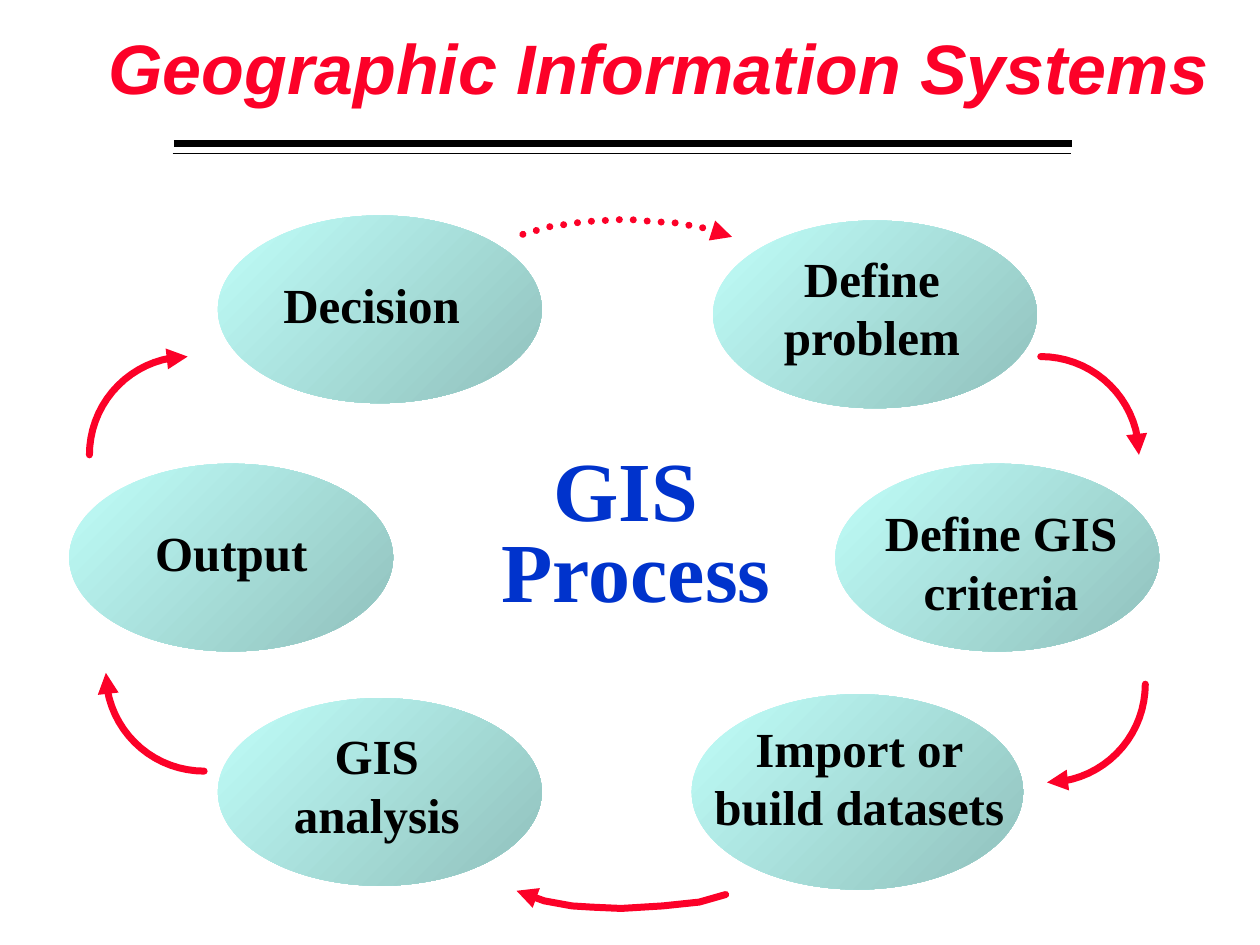
from math import cos, radians, sin

from lxml.etree import SubElement
from pptx import Presentation
from pptx.dml.color import RGBColor
from pptx.enum.dml import MSO_LINE
from pptx.enum.shapes import MSO_CONNECTOR, MSO_SHAPE
from pptx.enum.text import MSO_ANCHOR, PP_ALIGN
from pptx.oxml.ns import qn
from pptx.util import Inches, Pt

BLACK = RGBColor(0x00, 0x00, 0x00)
RED = RGBColor(0xFC, 0x01, 0x28)
BLUE = RGBColor(0x00, 0x33, 0xCC)
AQUA = RGBColor(0xC0, 0xFE, 0xF9)
TEAL = RGBColor(0x90, 0xC0, 0xBC)

STEPS = [
    ("Decision", (1.73, 1.71, 2.57, 1.49), (2.15, 2.13, 1.6, 0.56)),
    ("Define\vproblem", (5.66, 1.75, 2.57, 1.49), (6.12, 1.92, 1.6, 1.03)),
    ("Define GIS\vcriteria", (6.63, 3.68, 2.57, 1.49), (6.92, 3.94, 2.05, 1.03)),
    ("Import or\vbuild datasets", (5.49, 5.51, 2.63, 1.55), (5.57, 5.65, 2.5, 1.03)),
    ("GIS\vanalysis", (1.73, 5.54, 2.57, 1.49), (2.23, 5.71, 1.52, 1.03)),
    ("Output", (0.55, 3.68, 2.57, 1.49), (1.13, 4.1, 1.41, 0.56)),
]
QUARTER_RADIUS = 0.78
QUARTER_ARROWS = [((8.26, 3.61), -90), ((8.31, 5.43), 0),
                  ((1.62, 5.34), 90), ((1.49, 3.61), 180)]
TOP_ARROW = [(4.15, 1.86), (4.36, 1.8), (4.64, 1.76), (4.97, 1.74),
             (5.2, 1.76), (5.37, 1.77), (5.59, 1.81), (5.81, 1.88)]
BOTTOM_ARROW = [(5.76, 7.1), (5.55, 7.16), (5.26, 7.19), (4.93, 7.21),
                (4.7, 7.2), (4.54, 7.19), (4.32, 7.15), (4.1, 7.07)]


def add_text(slide, box, lines, font="Times New Roman", size=28, color=BLACK,
             italic=False, spacing=None, wrap=False, anchor=MSO_ANCHOR.TOP):
    """Place centred bold paragraphs in a text box."""
    frame = slide.shapes.add_textbox(*map(Inches, box)).text_frame
    frame.word_wrap = wrap
    frame.vertical_anchor = anchor
    for index, line in enumerate(lines):
        paragraph = frame.add_paragraph() if index else frame.paragraphs[0]
        paragraph.text = line
        paragraph.alignment = PP_ALIGN.CENTER
        paragraph.line_spacing = spacing
        for run in paragraph.runs:
            run.font.name = font
            run.font.size = Pt(size)
            run.font.bold = True
            run.font.italic = italic
            run.font.color.rgb = color


def add_rule(slide, left, top, width, weight):
    """Draw a horizontal black rule."""
    rule = slide.shapes.add_connector(
        MSO_CONNECTOR.STRAIGHT, Inches(left), Inches(top), Inches(left + width), Inches(top))
    rule.line.color.rgb = BLACK
    rule.line.width = Pt(weight)
    SubElement(rule._element.spPr, qn("a:effectLst"))


def add_header(slide, box):
    """Place the title and the double rule beneath it."""
    left, top, width, height = box
    add_rule(slide, left + 0.92, top + 1.03, 7.13, 0.75)
    add_rule(slide, left + 0.93, top + 0.95, 7.13, 4)
    add_text(slide, (left, top, width, height), ["Geographic Information Systems"],
             font="Arial", size=40, color=RED, italic=True, spacing=0.89,
             wrap=True, anchor=MSO_ANCHOR.MIDDLE)


def add_step(slide, label, box, label_box):
    """Draw one shaded ellipse with its label."""
    ellipse = slide.shapes.add_shape(MSO_SHAPE.OVAL, *map(Inches, box))
    ellipse.shadow.inherit = False
    ellipse.line.fill.background()
    ellipse.fill.gradient()
    ellipse.fill.gradient_angle = 315
    for stop, color, position in zip(ellipse.fill.gradient_stops, (AQUA, TEAL), (0, 1)):
        stop.color.rgb = color
        stop.position = position
    add_text(slide, label_box, [label])


def add_arrow(slide, points, dash=None):
    """Draw a red path with an arrowhead at its last point."""
    start, *rest = [(Inches(x), Inches(y)) for x, y in points]
    builder = slide.shapes.build_freeform(*start)
    builder.add_line_segments(rest, close=False)
    arrow = builder.convert_to_shape()
    arrow.shadow.inherit = False
    arrow.fill.background()
    arrow.line.color.rgb = RED
    arrow.line.width = Pt(4)
    if dash:
        arrow.line.dash_style = dash
    line = arrow.line._get_or_add_ln()
    line.set("cap", "rnd")
    SubElement(line, qn("a:round"))
    SubElement(line, qn("a:tailEnd"), type="triangle")


def quarter_points(center, start_angle, radius=QUARTER_RADIUS, segments=18):
    """Return the points of a clockwise quarter circle."""
    angles = [radians(start_angle + 90 * i / segments) for i in range(segments + 1)]
    return [(center[0] + radius * cos(a), center[1] + radius * sin(a)) for a in angles]


def add_cycle(slide, heading_box):
    """Draw the ring of steps, its arrows and the central heading."""
    for center, start_angle in QUARTER_ARROWS:
        add_arrow(slide, quarter_points(center, start_angle))
    add_arrow(slide, TOP_ARROW, dash=MSO_LINE.ROUND_DOT)
    add_arrow(slide, BOTTOM_ARROW)
    add_text(slide, heading_box, ["GIS ", "Process"], size=48, color=BLUE, spacing=0.8)
    for label, box, label_box in STEPS:
        add_step(slide, label, box, label_box)


def main():
    """Build the slide and save it."""
    presentation = Presentation()
    presentation.slide_width = Inches(10)
    presentation.slide_height = Inches(7.5)
    slide = presentation.slides.add_slide(presentation.slide_layouts[6])
    add_header(slide, (0.45, 0.19, 9.55, 0.77))
    add_cycle(slide, (3.88, 3.58, 2.34, 1.38))
    presentation.save("out.pptx")


if __name__ == "__main__":
    main()
